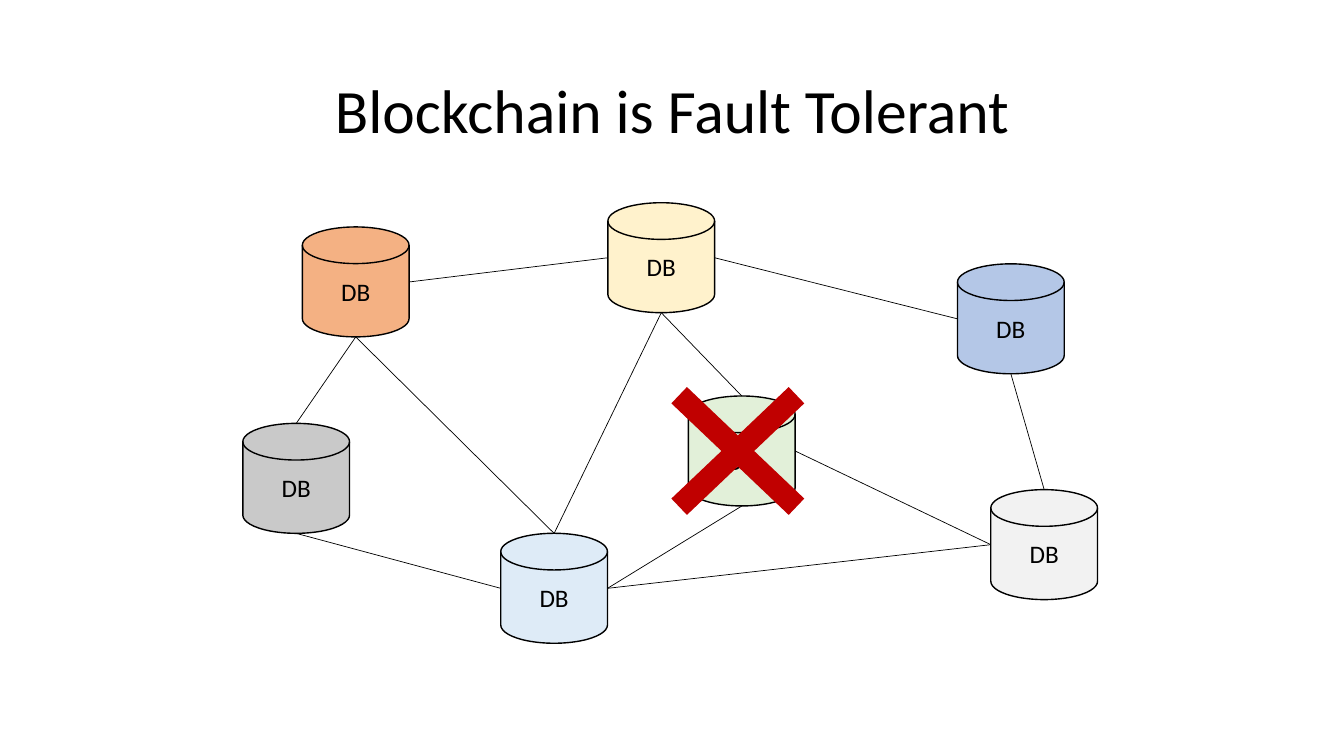
from pptx import Presentation
from pptx.dml.color import RGBColor
from pptx.enum.shapes import MSO_CONNECTOR, MSO_SHAPE
from pptx.enum.text import MSO_ANCHOR, PP_ALIGN
from pptx.oxml.ns import qn
from pptx.util import Cm, Pt
from lxml.etree import SubElement

BLACK = RGBColor(0x00, 0x00, 0x00)
RED = RGBColor(0xC0, 0x00, 0x00)
YELLOW = RGBColor(0xFF, 0xF2, 0xCC)
ORANGE = RGBColor(0xF4, 0xB1, 0x83)
GRAY = RGBColor(0xC9, 0xC9, 0xC9)
GREEN = RGBColor(0xE2, 0xF0, 0xD9)
WHITE = RGBColor(0xF2, 0xF2, 0xF2)
SKY = RGBColor(0xDE, 0xEB, 0xF7)
BLUE = RGBColor(0xB4, 0xC7, 0xE7)

TOP, LEFT, BOTTOM, RIGHT = range(4)

# name: (left, top, fill)
DATABASES = {
    "yellow": (15.32, 5.11, YELLOW),
    "orange": (7.62, 5.72, ORANGE),
    "gray": (6.12, 10.67, GRAY),
    "green": (17.35, 9.98, GREEN),
    "white": (24.97, 12.34, WHITE),
    "sky": (12.62, 13.44, SKY),
    "blue": (24.13, 6.65, BLUE),
}

LINKS = [
    ("gray", TOP, "orange", BOTTOM),
    ("sky", LEFT, "gray", BOTTOM),
    ("sky", TOP, "orange", BOTTOM),
    ("orange", RIGHT, "yellow", LEFT),
    ("sky", TOP, "yellow", BOTTOM),
    ("green", TOP, "yellow", BOTTOM),
    ("yellow", RIGHT, "blue", LEFT),
    ("white", TOP, "blue", BOTTOM),
    ("sky", RIGHT, "white", LEFT),
    ("sky", RIGHT, "green", BOTTOM),
    ("green", RIGHT, "white", LEFT),
]


class Diagram:
    font = "Calibri"
    disk_size = Cm(2.69), Cm(2.77)

    def __init__(self, slide):
        self.shapes = slide.shapes

    def set_text(self, shape, text, size):
        tf = shape.text_frame
        tf.word_wrap = True
        tf.vertical_anchor = MSO_ANCHOR.MIDDLE
        p = tf.paragraphs[0]
        p.text = text
        p.alignment = PP_ALIGN.CENTER
        p.font.name = self.font
        p.font.size = Pt(size)
        p.font.color.rgb = BLACK
        return p

    def title(self, text):
        box = self.shapes.add_textbox(Cm(2.34), Cm(1.02), Cm(29.21), Cm(3.68))
        self.set_text(box, text, 44).line_spacing = 0.9

    def database(self, left, top, fill):
        sp = self.shapes.add_shape(MSO_SHAPE.FLOWCHART_MAGNETIC_DISK,
                                   Cm(left), Cm(top), *self.disk_size)
        sp.shadow.inherit = False
        sp.fill.solid()
        sp.fill.fore_color.rgb = fill
        sp.line.color.rgb = BLACK
        sp.line.width = Pt(1)
        self.set_text(sp, "DB", 18)
        return sp

    def link(self, start, start_side, end, end_side):
        line = self.shapes.add_connector(MSO_CONNECTOR.STRAIGHT, 0, 0, 0, 0)
        line.begin_connect(start, start_side)
        line.end_connect(end, end_side)
        # A disk has an extra site on its lid, so its side sites start at 1
        ends = line._element.nvCxnSpPr.cNvCxnSpPr
        ends.stCxn.idx = start_side + 1
        ends.endCxn.idx = end_side + 1
        line.line.color.rgb = BLACK
        line.line.width = Pt(0.5)
        SubElement(line._element.spPr, qn("a:effectLst"))

    def cross(self, left, top, width, height):
        sp = self.shapes.add_shape(MSO_SHAPE.MATH_MULTIPLY,
                                   Cm(left), Cm(top), Cm(width), Cm(height))
        sp.adjustments[0] = 0.105
        sp.shadow.inherit = False
        sp.fill.solid()
        sp.fill.fore_color.rgb = RED
        sp.line.fill.background()


def main():
    prs = Presentation()
    prs.slide_width, prs.slide_height = Cm(33.87), Cm(19.05)
    s = prs.slides.add_slide(prs.slide_layouts[6])
    diagram = Diagram(s)
    diagram.title("Blockchain is Fault Tolerant")
    disks = {name: diagram.database(*spot) for name, spot in DATABASES.items()}
    for start, start_side, end, end_side in LINKS:
        diagram.link(disks[start], start_side, disks[end], end_side)
    diagram.cross(15.75, 8.66, 5.69, 5.41)
    prs.save("out.pptx")


if __name__ == "__main__":
    main()
